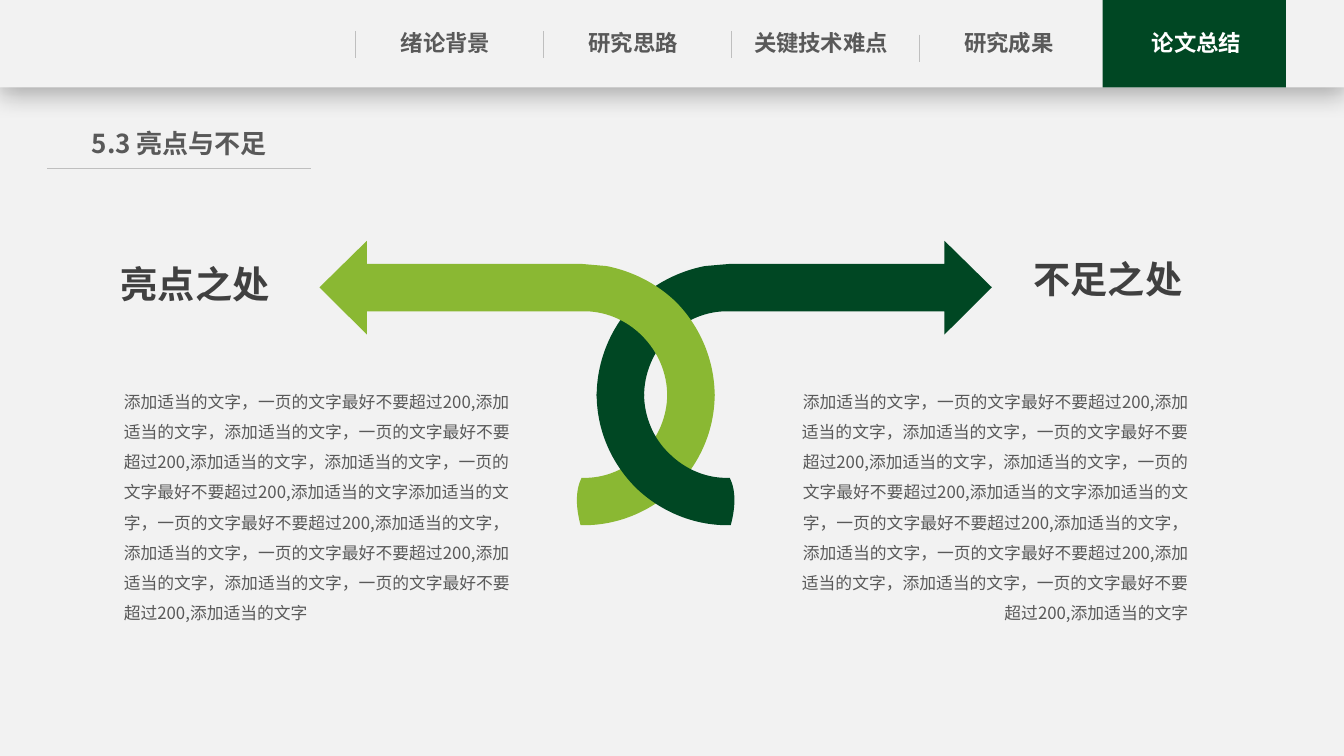
from lxml import etree
from pptx import Presentation
from pptx.dml import color
from pptx.enum import shapes, text
from pptx.oxml import ns
from pptx.util import Pt

FACE = "Noto Sans CJK SC"
GREY, DARK, LIME, RULE, PALE = "595959", "004723", "8AB833", "BFBFBF", "F2F2F2"
TABS = ["绪论背景", "研究思路", "关键技术难点", "研究成果", "论文总结"]
STEP = 134.1
MIRROR = 936.7
LEAD = "添加适当的文字，"
BASE = "一页的文字最好不要超过200,"
PAIR = LEAD + BASE + LEAD
HALF = PAIR * 2 + LEAD + BASE + "添加适当的文字"
BODY = HALF + PAIR * 2 + LEAD + BASE + "添加适当的文字"

ARM = [
    (674.6, 172), (708.5, 205.3), (674.6, 239), (674.6, 222.4), (521.3, 222.4),
    (505.4, 221.8, 489.6, 228.2, 478.1, 239.8),
    (466.6, 251.3, 460.1, 266.4, 460.1, 283), (426.2, 283),
    (426.2, 257.8, 436.3, 233.3, 454.3, 215.3),
    (468, 202.3, 485.3, 193.7, 503.3, 190.1), (520.6, 188.6), (674.6, 188.6),
]
HOOK = [
    (426.2, 281.5),
    (426.2, 306.7, 436.3, 330.5, 454.3, 348.5),
    (472.3, 365.8, 496.8, 375.8, 522, 375.1),
    (524.9, 364.3, 526.3, 351.4, 521.3, 341.3),
    (505.4, 342, 489.6, 335.5, 478.1, 324),
    (466.6, 313.2, 460.1, 297.4, 460.1, 281.5),
]


def rgb(code):
    return color.RGBColor.from_string(code)


def paint(shape, code):
    shape.shadow.inherit = False
    shape.fill.solid()
    shape.fill.fore_color.rgb = rgb(code)
    shape.line.fill.background()


def block(slide, left, top, width, height, code):
    shape = slide.shapes.add_shape(
        shapes.MSO_SHAPE.RECTANGLE, Pt(left), Pt(top), Pt(width), Pt(height))
    paint(shape, code)
    return shape


def shade(shape):
    effects = shape._element.spPr.find(ns.qn("a:effectLst"))
    glow = etree.SubElement(
        effects, ns.qn("a:outerShdw"), blurRad=str(Pt(18)), dist=str(Pt(4)),
        dir="5400000", algn="t", rotWithShape="0")
    tint = etree.SubElement(glow, ns.qn("a:srgbClr"), val="000000")
    etree.SubElement(tint, ns.qn("a:alpha"), val="29000")


def rule(slide, x, y, end, base):
    line = slide.shapes.add_connector(
        shapes.MSO_CONNECTOR.STRAIGHT, Pt(x), Pt(y), Pt(end), Pt(base))
    line.line.color.rgb = rgb(RULE)
    line.line.width = Pt(0.5)
    etree.SubElement(line._element.spPr, ns.qn("a:effectLst"))


def label(slide, words, area, size, code, bold=True, align="CENTER",
          pad=(0, 3.6), wrap=True, gap=None):
    box = slide.shapes.add_textbox(*map(Pt, area))
    frame = box.text_frame
    frame.word_wrap = wrap
    frame.auto_size = text.MSO_AUTO_SIZE.SHAPE_TO_FIT_TEXT
    frame.margin_left = frame.margin_right = Pt(pad[0])
    frame.margin_top = frame.margin_bottom = Pt(pad[1])
    para = frame.paragraphs[0]
    para.text = words
    para.alignment = text.PP_ALIGN[align]
    if gap:
        para.line_spacing = gap
    font = para.font
    font.size = Pt(size)
    font.bold = bold
    font.color.rgb = rgb(code)
    font.name = FACE
    etree.SubElement(font._element, ns.qn("a:ea"), typeface=FACE)


def bend(slide, steps, code, flip=False):
    dots = [(Pt(MIRROR - x if flip else x), Pt(y))
            for step in steps for x, y in zip(step[::2], step[1::2])]
    pen = slide.shapes.build_freeform(*dots[0])
    pen.add_line_segments(dots[1:], close=True)
    shape = pen.convert_to_shape()
    paint(shape, code)
    legs = iter(list(shape._element.iter(ns.qn("a:lnTo"))))
    for step in steps[1:]:
        leg = next(legs)
        if len(step) == 6:
            leg.tag = ns.qn("a:cubicBezTo")
            for _ in range(2):
                spare = next(legs)
                leg.append(spare[0])
                spare.getparent().remove(spare)


def header(slide):
    shade(block(slide, 0, 0, 960, 62.5, PALE))
    block(slide, 787.6, 0, 131, 62.5, DARK)
    last = len(TABS) - 1
    for i, name in enumerate(TABS):
        code = "FFFFFF" if i == last else GREY
        label(slide, name, (265.4 + i * STEP, 17.3, 105.8, 27.4), 16, code)
        if i < last:
            x = 254.2 + i * STEP
            y = 24.8 if i == last - 1 else 22
            rule(slide, x, y, x, y + 19.4)


def main():
    deck = Presentation()
    deck.slide_width, deck.slide_height = Pt(960), Pt(540)
    slide = deck.slides.add_slide(deck.slide_layouts[6])

    block(slide, 0, 0, 960, 540, PALE)
    header(slide)
    rule(slide, 33.8, 120.2, 222.5, 120.2)
    label(slide, "5.3 亮点与不足", (53.6, 87.5, 149, 30.2), 18.6, GREY)

    bend(slide, ARM, DARK)
    bend(slide, ARM, LIME, True)
    bend(slide, HOOK, LIME, True)
    bend(slide, HOOK, DARK)

    for left, width, align in ((557.5, 300.7, "RIGHT"), (79, 297.6, "LEFT")):
        label(slide, BODY, (left, 268.1, width, 183.6), 12, GREY, False,
              align, (9.4, 4.3), gap=1.5)
    for name, left, top in (("亮点之处", 79.2, 182.9), ("不足之处", 731, 179.7)):
        label(slide, name, (left, top, 122.4, 39.6), 26.6, "404040",
              align="LEFT", pad=(7.2, 3.6), wrap=False)

    deck.save("out.pptx")


if __name__ == "__main__":
    main()
